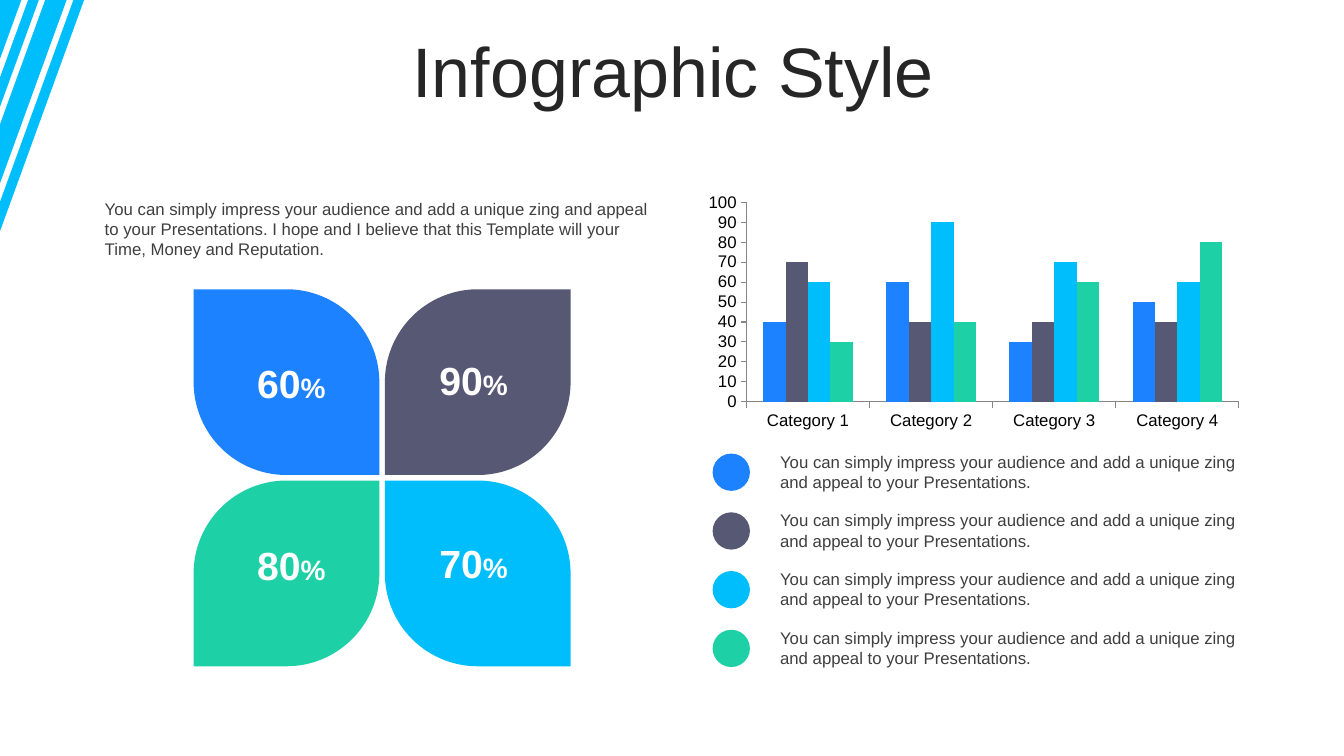
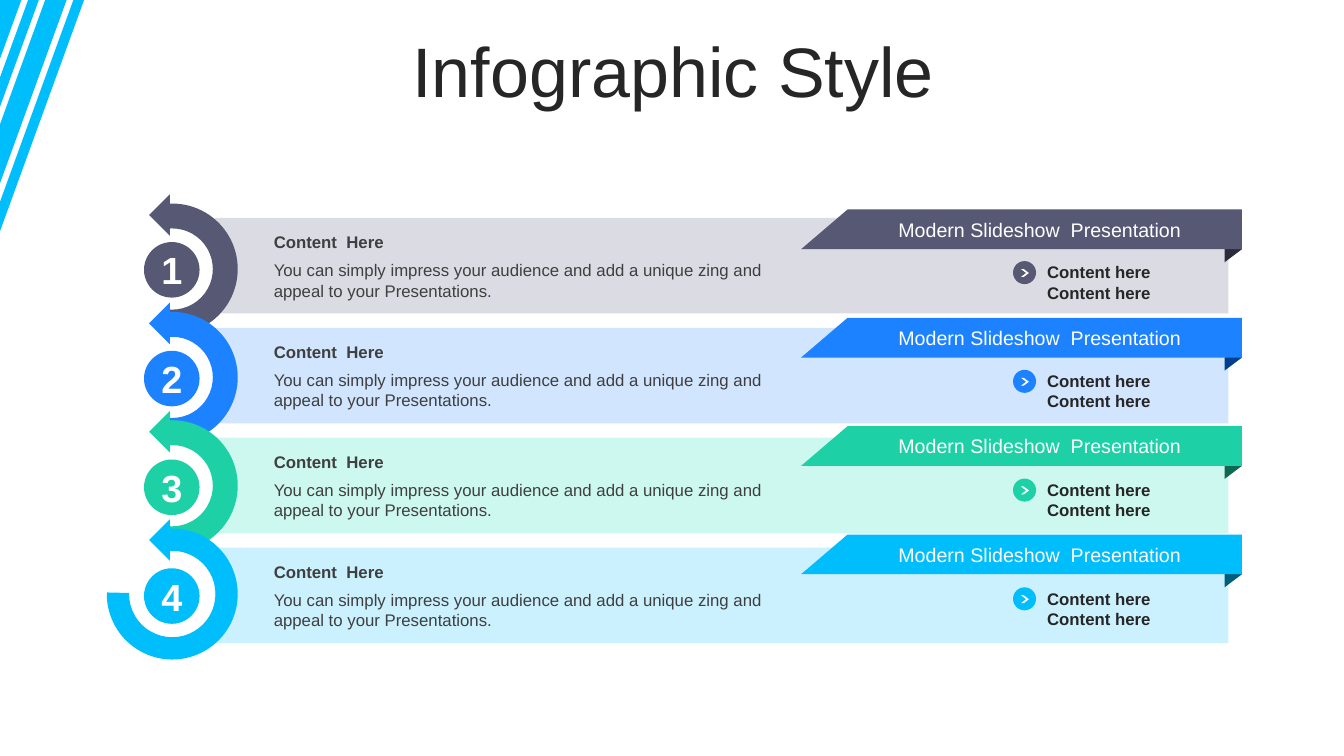
import pptx
import pptx.chart.data
import pptx.dml.color
import pptx.enum.chart
import pptx.enum.shapes
import pptx.enum.text
import pptx.util

Cm = pptx.util.Cm
Pt = pptx.util.Pt
RGB = pptx.dml.color.RGBColor
Kind = pptx.enum.shapes.MSO_SHAPE
Align = pptx.enum.text.PP_ALIGN
Anchor = pptx.enum.text.MSO_ANCHOR
Tick = pptx.enum.chart.XL_TICK_MARK

BLUE = RGB(0x1C, 0x82, 0xFF)
SLATE = RGB(0x56, 0x58, 0x74)
SKY = RGB(0x00, 0xBD, 0xFB)
GREEN = RGB(0x1E, 0xD0, 0xA6)
WHITE = RGB(0xFF, 0xFF, 0xFF)
BLACK = RGB(0x00, 0x00, 0x00)
INK = RGB(0x26, 0x26, 0x26)
GREY = RGB(0x3F, 0x3F, 0x3F)
RULE = RGB(0x86, 0x86, 0x86)
PALE_SLATE = RGB(0xDB, 0xDB, 0xE4)
PALE_BLUE = RGB(0xD1, 0xE5, 0xFE)
PALE_GREEN = RGB(0xCD, 0xF8, 0xEF)
PALE_SKY = RGB(0xCB, 0xF1, 0xFF)
DARK_SLATE = RGB(0x2B, 0x2C, 0x3A)
DARK_BLUE = RGB(0x00, 0x3F, 0x8D)
DARK_GREEN = RGB(0x0E, 0x68, 0x52)
DARK_SKY = RGB(0x00, 0x5E, 0x7D)

FONT = "Arial"
TITLE = "Infographic Style"
BLURB = "You can simply impress your audience and add a unique zing and appeal to your Presentations."
INTRO = BLURB[:-1] + ". I hope and I believe that this Template will your Time, Money and Reputation."
STRIPES = [(0, 0.54), (0.71, 0.98), (1.14, 1.68), (1.85, 2.12)]
SLOPE = 2.75

BODY = {"size": 12, "color": GREY}
HEAD = {"size": 12, "color": GREY, "bold": True}
POINT = {"size": 12, "color": INK, "bold": True}
SHARE = {"size": 28, "color": WHITE, "bold": True}
DIGIT = {"size": 27, "color": WHITE, "bold": True}
LABEL = {"size": 14, "color": WHITE}
BANNER = {"size": 50, "color": INK}

MID = {"vertical_anchor": Anchor.MIDDLE}
TIGHT = {"vertical_anchor": Anchor.MIDDLE, "margin_left": 0, "margin_right": 0,
         "margin_top": 0, "margin_bottom": 0}
SHIFT = {"vertical_anchor": Anchor.MIDDLE, "margin_left": Cm(1.17)}
CENTER = {"alignment": Align.CENTER}


def apply(item, vals):
    """Set each named value on the item."""
    for name, val in vals.items():
        setattr(item, name, val)


def style(font, look):
    """Give a font its face, size, weight and colour."""
    apply(font, {"name": FONT, "size": Pt(look["size"]), "bold": look.get("bold", False)})
    font.color.rgb = look["color"]


def write(shape, lines, look, frame=None, para=None):
    """Fill a shape with lines, each a string or a list of (text, size) runs."""
    body = shape.text_frame
    apply(body, {"word_wrap": True, **(frame or {})})
    for pos, line in enumerate(lines):
        part = body.add_paragraph() if pos else body.paragraphs[0]
        apply(part, para or {})
        runs = [(line, look["size"])] if isinstance(line, str) else line
        for text, size in runs:
            run = part.add_run()
            run.text = text
            style(run.font, {**look, "size": size})


def label(slide, box, lines, look, frame=None, para=None):
    """Add a text box."""
    write(slide.shapes.add_textbox(*map(Cm, box)), lines, look, frame, para)


def paint(shape, fill):
    """Give a shape a flat fill with no line or shadow."""
    shape.shadow.inherit = False
    shape.fill.solid()
    shape.fill.fore_color.rgb = fill
    shape.line.fill.background()
    return shape


def block(slide, kind, box, fill, turn=0, knobs=()):
    """Add a preset shape."""
    shape = paint(slide.shapes.add_shape(kind, *map(Cm, box)), fill)
    shape.rotation = turn
    for pos, val in enumerate(knobs):
        shape.adjustments[pos] = val
    return shape


def outline(slide, loops, fill):
    """Add one freeform made of closed loops of points."""
    loops = [[(Cm(x), Cm(y)) for x, y in loop] for loop in loops]
    pen = slide.shapes.build_freeform(*loops[0][0])
    for pos, loop in enumerate(loops):
        if pos:
            pen.move_to(*loop[0])
        pen.add_line_segments(loop[1:], close=True)
    return paint(pen.convert_to_shape(), fill)


def start(deck):
    """Add a slide with the corner stripes and the title."""
    slide = deck.slides.add_slide(deck.slide_layouts[6])
    outline(slide, [[(a, 0), (b, 0), (0, b * SLOPE), (0, a * SLOPE)] for a, b in STRIPES], SKY)
    label(slide, (0.89, 0.94, 32.16, 2.01), [TITLE], BANNER, MID,
          {**CENTER, "line_spacing": 0.8})
    return slide


def petals(slide):
    """Draw the four leaves with their shares."""
    side, step = 4.68, 4.82
    leaves = [
        (0, 0, BLUE, "60", 6.05, 8.92),
        (1, 0, SLATE, "90", 10.64, 8.84),
        (0, 1, GREEN, "80", 6.05, 13.51),
        (1, 1, SKY, "70", 10.64, 13.46),
    ]
    for col, row, fill, share, x, y in leaves:
        knobs = (0.5, 0) if col != row else (0, 0.5)
        block(slide, Kind.ROUND_2_DIAG_RECTANGLE,
              (4.88 + col * step, 7.29 + row * step, side, side), fill, knobs=knobs)
        label(slide, (x, y, 2.59, 1.45), [[(share, 28), ("%", 20)]], SHARE, MID, CENTER)


def columns(slide):
    """Add the clustered column chart."""
    data = pptx.chart.data.CategoryChartData()
    data.categories = [f"Category {n}" for n in range(1, 5)]
    rows = [(BLUE, (40, 60, 30, 50)), (SLATE, (70, 40, 40, 40)),
            (SKY, (60, 90, 70, 60)), (GREEN, (30, 40, 60, 80))]
    for num, (_, vals) in enumerate(rows, 1):
        data.add_series(f"Series {num}", vals)
    chart = slide.shapes.add_chart(
        pptx.enum.chart.XL_CHART_TYPE.COLUMN_CLUSTERED,
        *map(Cm, (17.58, 4.75, 13.92, 6.2)), data).chart
    apply(chart, {"has_legend": False, "has_title": False})
    style(chart.font, {"size": 12, "color": BLACK})
    plot = chart.plots[0]
    apply(plot, {"gap_width": 150, "overlap": 0, "vary_by_categories": False})
    for bar, (fill, _) in zip(plot.series, rows):
        bar.format.fill.solid()
        bar.format.fill.fore_color.rgb = fill
    for axis in (chart.category_axis, chart.value_axis):
        apply(axis, {"has_major_gridlines": False, "major_tick_mark": Tick.OUTSIDE,
                     "minor_tick_mark": Tick.NONE})
        style(axis.tick_labels.font, {"size": 12, "color": BLACK})
        axis.format.line.color.rgb = RULE
    apply(chart.value_axis, {"minimum_scale": 0, "maximum_scale": 100, "major_unit": 10})


def legend(slide):
    """List a coloured dot and a blurb for each series."""
    for row, fill in enumerate((BLUE, SLATE, SKY, GREEN)):
        drop = row * 1.48
        block(slide, Kind.OVAL, (17.96, 11.43 + drop, 0.94, 0.94), fill)
        label(slide, (19.41, 11.25 + drop, 12.17, 1.27), [BLURB], BODY)


def badge(slide, row, fill, last):
    """Draw a numbered disc inside its curved arrow."""
    disc = block(slide, Kind.OVAL, (3.63, 6.1 + row * 2.74, 1.4, 1.4), fill)
    write(disc, [str(row + 1)], DIGIT, TIGHT, CENTER)
    drop = row * 2.73
    knobs = (104.73, 54.83, 0.17) if last else (104.73, 2.03, 0.19)
    block(slide, Kind.BLOCK_ARC, (2.69, 5.13 + drop, 3.3, 3.3), fill, 90, knobs)
    block(slide, Kind.RIGHT_TRIANGLE, (3.91, 5.05 + drop, 0.74, 0.74), fill, 45)


def ribbon(slide, top, fill, dark):
    """Draw a slanted ribbon with its folded end and text."""
    left, slant, fold, right = 20.19, 21.36, 30.86, 31.3
    base = top + 1
    outline(slide, [[(fold, top + 0.05), (right, top + 0.05), (right, base),
                     (fold, base + 0.33)]], dark)
    band = outline(slide, [[(right, top), (slant, top), (left, base), (right, base)]], fill)
    write(band, ["Modern Slideshow  Presentation"], LABEL, SHIFT, CENTER)


def points(slide, drop, fill):
    """Draw a chevron bullet beside two short lines."""
    block(slide, Kind.OVAL, (25.53, 6.58 + drop, 0.58, 0.58), fill)
    block(slide, Kind.CHEVRON, (25.73, 6.78 + drop, 0.2, 0.2), WHITE, knobs=(0.65,))
    label(slide, (26.14, 6.48 + drop, 3.51, 1.27), ["Content here"] * 2, POINT, MID)


def steps(slide):
    """Lay out the four numbered rows."""
    rows = [(SLATE, PALE_SLATE, DARK_SLATE), (BLUE, PALE_BLUE, DARK_BLUE),
            (GREEN, PALE_GREEN, DARK_GREEN), (SKY, PALE_SKY, DARK_SKY)]
    pitch = 2.77
    for row, (_, pale, _) in enumerate(rows):
        block(slide, Kind.RECTANGLE, (5.41, 5.49 + row * pitch, 25.55, 2.41), pale)
    for row, (fill, _, dark) in enumerate(rows):
        badge(slide, row, fill, row == len(rows) - 1)
        label(slide, (6.65, 5.72 + row * pitch, 13.54, 0.76), ["Content  Here"], HEAD)
        label(slide, (6.65, 6.43 + row * pitch, 13.34, 1.27), [BLURB], BODY)
        ribbon(slide, 5.28 + row * 2.73, fill, dark)
        points(slide, row * 2.74, fill)


def main():
    """Build and save the deck."""
    deck = pptx.Presentation()
    apply(deck, {"slide_width": Cm(33.87), "slide_height": Cm(19.05)})
    slide = start(deck)
    petals(slide)
    label(slide, (2.39, 4.88, 14.55, 1.8), [INTRO], BODY)
    columns(slide)
    legend(slide)
    steps(start(deck))
    deck.save("out.pptx")


if __name__ == "__main__":
    main()
